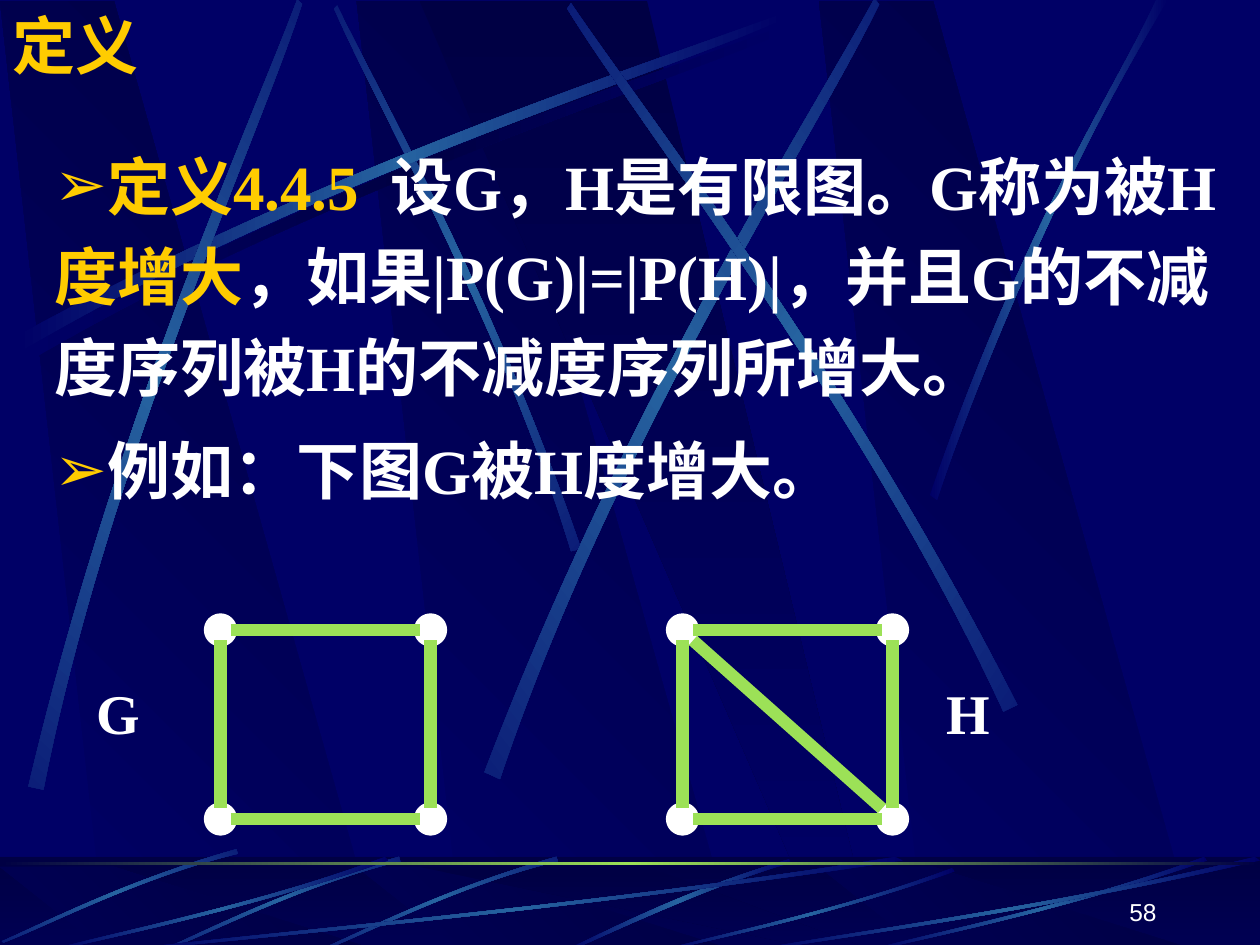
import pptx
import pptx.dml.color
import pptx.enum.shapes
import pptx.enum.text
import pptx.oxml.ns
import pptx.util
from lxml import etree

Pt = pptx.util.Pt
SHAPES = pptx.enum.shapes.MSO_SHAPE
ANCHOR = pptx.enum.text.MSO_ANCHOR
ALIGN = pptx.enum.text.PP_ALIGN
qn = pptx.oxml.ns.qn

NAVY, DARK, BLUE = "000066", "000044", "2663A0"
GREEN, GOLD, WHITE = "9CE157", "FFCC00", "FFFFFF"
GLOW = [(0, NAVY), (50, BLUE), (100, NAVY)]
SHADE = [(0, NAVY), (50, DARK), (100, NAVY)]
SERIF, HAN = "Times New Roman", "Noto Sans CJK SC"

# Outlines on a unit square, scaled to a box
PANEL = [(0.28, 1), (1, 1), (0.3, 0), (0, 0)]
WIDE_PANEL = [(0, 0), (0.9, 1), (1, 1), (0.5, 0)]
# Streak outlines: two cubic curves of four points each
STREAK = [(0, 0.96), (0.43, 0.43), (0.83, 0.15), (1, 0),
          (1, 0.02), (0.83, 0.19), (0.38, 0.5), (0.01, 1)]
STEEP_STREAK = [(0, 0.99), (0.4, 0.44), (0.79, 0.17), (0.95, 0),
                (1, 0), (0.52, 0.37), (0.16, 0.81), (0.03, 1)]
FLOOR_STREAK = [(0.99, 0), (0.49, 0.37), (0.16, 0.82), (0, 0.99),
                (0.02, 1), (0.23, 0.77), (0.68, 0.25), (1, 0.04)]


def color(value):
    return pptx.dml.color.RGBColor.from_string(value)


def fill_solid(shape, value, opacity=100):
    shape.fill.solid()
    shape.fill.fore_color.rgb = color(value)
    if opacity < 100:
        target = shape._element.spPr.find(qn("a:solidFill"))[0]
        etree.SubElement(target, qn("a:alpha"), val=str(opacity * 1000))


def fill_gradient(shape, stops, angle):
    shape.fill.gradient()
    shape.fill.gradient_angle = (360 - angle) % 360
    stop_list = shape._element.spPr.find(qn("a:gradFill")).find(qn("a:gsLst"))
    for stop in list(stop_list):
        stop_list.remove(stop)
    for position, value in stops:
        stop = etree.SubElement(stop_list, qn("a:gs"), pos=str(position * 1000))
        etree.SubElement(stop, qn("a:srgbClr"), val=value)


def add_outline(slide, outline, box, stops, angle):
    left, top, width, height = box
    points = [(Pt(left + x * width), Pt(top + y * height)) for x, y in outline]
    builder = slide.shapes.build_freeform(*points[0], scale=1.0)
    builder.add_line_segments(points[1:], close=True)
    shape = builder.convert_to_shape()
    shape.shadow.inherit = False
    shape.line.fill.background()
    fill_gradient(shape, stops, angle)
    return shape


def add_streak(slide, box, rotation=0, mirror=False, flip=False,
               outline=STREAK, stops=GLOW):
    points = [(1 - x if mirror else x, 1 - y if flip else y) for x, y in outline]
    shape = add_outline(slide, points, box, stops, 0)
    # Bend both long sides: three line points become one cubic curve
    segments = list(shape._element.iter(qn("a:lnTo")))
    for side in (segments[:3], segments[4:7]):
        bend = etree.Element(qn("a:cubicBezTo"))
        side[0].addprevious(bend)
        for segment in side:
            bend.append(segment[0])
            segment.getparent().remove(segment)
    shape.rotation = rotation


def add_shape(slide, kind, left, top, width, height):
    shape = slide.shapes.add_shape(kind, Pt(left), Pt(top), Pt(width), Pt(height))
    shape.shadow.inherit = False
    shape.line.fill.background()
    return shape


def add_panels(slide, top, height):
    for left in (203.8, 0, 468):
        add_outline(slide, PANEL, (left, top, 217.4, height),
                    [(0, NAVY), (100, DARK)], 315)
    add_outline(slide, WIDE_PANEL, (239.8, top, 260, height),
                [(0, DARK), (100, NAVY)], 90)


def add_backdrop(slide):
    # Upper panels and light streaks
    add_panels(slide, 0.7, 541)
    add_streak(slide, (14.4, 13, 438, 192.2), stops=SHADE)
    add_streak(slide, (101.5, 97.2, 318.2, 126), 45, mirror=True)
    add_streak(slide, (10, 7.2, 438, 192.2))
    add_streak(slide, (-123.1, 131, 438, 192.2), 311.7)
    add_streak(slide, (166.3, 115.2, 449.3, 216.7), 321.6)
    add_streak(slide, (232.6, 109.4, 438, 192.2), 34.7, mirror=True)
    add_streak(slide, (531.4, 0, 136, 285.8), outline=STEEP_STREAK)
    # Floor band
    floor = (SHAPES.RECTANGLE, 0, 489.6, 720, 54)
    fill_gradient(add_shape(slide, *floor), [(0, DARK), (100, NAVY)], 90)
    add_panels(slide, 495.4, 48.2)
    fill_solid(add_shape(slide, *floor), DARK, 50)
    add_streak(slide, (322.6, 491, 129.6, 52.6), outline=FLOOR_STREAK)
    for left, top in ((185.8, 486.7), (95.8, 486.7), (2.9, 482.4)):
        add_streak(slide, (left, top, 132, 60), 315, mirror=True)
    for left, top, width in ((72, 489.6, 444), (30, 489.6, 192), (379.4, 496, 166.3),
                             (498, 489.6, 192), (432, 489.6, 288)):
        add_streak(slide, (left, top, width, 543.6 - top), mirror=True, flip=True)
    # Horizon line
    horizon = add_shape(slide, SHAPES.RECTANGLE, 0, 492.5, 720, 1.8)
    fill_gradient(horizon, [(0, DARK), (50, GREEN), (100, DARK)], 0)


def add_run(paragraph, text, value, size, name=SERIF, bold=True, spacing=0):
    run = paragraph.add_run()
    run.text = text
    for key, setting in {"size": Pt(size), "name": name, "bold": bold}.items():
        setattr(run.font, key, setting)
    run.font.color.rgb = color(value)
    properties = run._r.get_or_add_rPr()
    etree.SubElement(properties, qn("a:ea"), typeface=HAN)
    if spacing:
        properties.set("spc", str(spacing * 100))


def add_text_box(slide, left, top, width, height, **settings):
    box = slide.shapes.add_textbox(Pt(left), Pt(top), Pt(width), Pt(height))
    for key, setting in {"word_wrap": True, **settings}.items():
        setattr(box.text_frame, key, setting)
    return box.text_frame


def add_bullet(paragraph):
    properties = paragraph._p.get_or_add_pPr()
    properties.set("marL", "0")
    properties.set("indent", "0")
    bullet_color = etree.SubElement(properties, qn("a:buClr"))
    etree.SubElement(bullet_color, qn("a:srgbClr"), val=GOLD)
    etree.SubElement(properties, qn("a:buFont"), typeface="Arial")
    etree.SubElement(properties, qn("a:buChar"), char="➢")


def add_body(slide):
    frame = add_text_box(slide, 24, 72, 690, 414)
    definition, example = frame.paragraphs[0], frame.add_paragraph()
    for paragraph in (definition, example):
        add_bullet(paragraph)
        paragraph.line_spacing = Pt(51.8)
    example.space_before = Pt(7.2)
    add_run(definition, "定义4.4.5", GOLD, 36)
    add_run(definition, " ", GOLD, 36, spacing=9)
    add_run(definition, "设G，H是有限图。G称为被H", WHITE, 36)
    add_run(definition, "度增大", GOLD, 36)
    add_run(definition, "，如果|P(G)|=|P(H)|，并且G的不减度序列被H的不减度序列所增大。",
            WHITE, 36)
    add_run(example, "例如：下图G被H度增大。", WHITE, 36)


def add_edge(slide, *ends):
    edge = slide.shapes.add_connector(pptx.enum.shapes.MSO_CONNECTOR.STRAIGHT,
                                      *[Pt(value) for value in ends])
    edge.line.color.rgb = color(GREEN)
    edge.line.width = Pt(7)
    etree.SubElement(edge._element.spPr, qn("a:effectLst"))


def add_graph(slide, left, label, label_left, diagonal=False):
    top, node = 354, 12
    right, bottom = left + 120, top + 108
    for y in (top, bottom):
        for x in (left, right):
            vertex = add_shape(slide, SHAPES.OVAL, x, y, node, node)
            fill_solid(vertex, WHITE)
            vertex.line.color.rgb = color(WHITE)
            vertex.line.width = Pt(7)
    for y in (top, bottom):
        add_edge(slide, left + node, y + node / 2, right, y + node / 2)
    for x in (left, right):
        add_edge(slide, x + node / 2, top + node, x + node / 2, bottom)
    if diagonal:
        add_edge(slide, left + node, top + node, right, bottom)
    frame = add_text_box(slide, label_left, 384, 54, 45.4)
    add_run(frame.paragraphs[0], label, WHITE, 32)


def main():
    presentation = pptx.Presentation()
    presentation.slide_width, presentation.slide_height = Pt(720), Pt(540)
    slide = presentation.slides.add_slide(presentation.slide_layouts[6])
    fill_solid(slide.background, NAVY)
    add_backdrop(slide)
    add_body(slide)
    # Example graphs
    add_graph(slide, 120, "G", 48)
    add_graph(slide, 384, "H", 534, diagonal=True)
    # Title and page number
    title = add_text_box(slide, 0, 0, 612, 51, vertical_anchor=ANCHOR.MIDDLE)
    add_run(title.paragraphs[0], "定义", GOLD, 36, HAN)
    number = add_text_box(slide, 518, 496.8, 150, 36, vertical_anchor=ANCHOR.BOTTOM)
    number.paragraphs[0].alignment = ALIGN.RIGHT
    add_run(number.paragraphs[0], "58", WHITE, 14, "Arial", bold=False)
    presentation.save("out.pptx")


if __name__ == "__main__":
    main()
